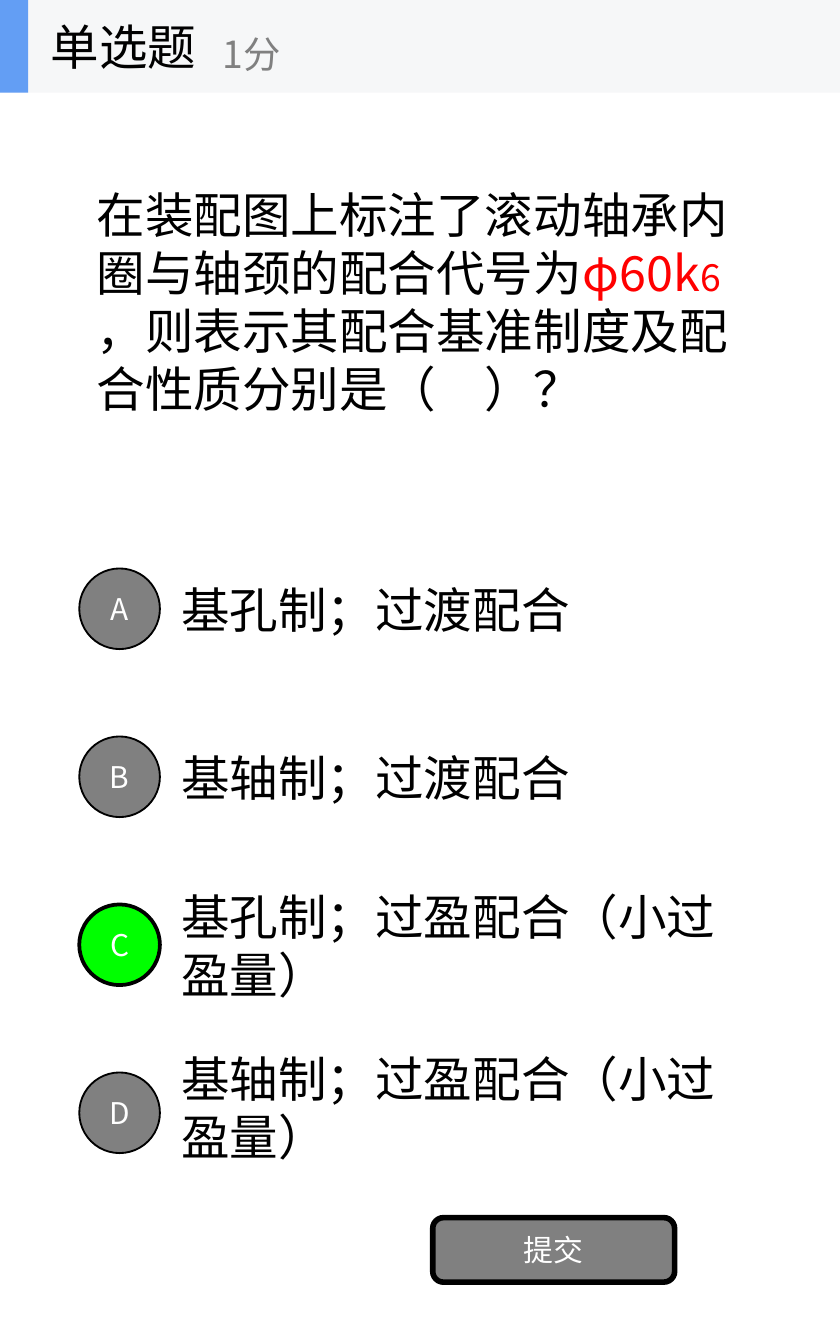
from dataclasses import dataclass

from lxml import etree
from pptx import Presentation
from pptx import util as u
from pptx.dml.color import RGBColor
from pptx.enum import shapes, text
from pptx.oxml import ns

FACE = "Noto Sans CJK SC"
HUE = {
    "ink": "000000", "paper": "FFFFFF", "gray": "808080", "red": "FF0000",
    "green": "00FF00", "band": "F6F7F8", "blue": "639EF4",
}
FORM = shapes.MSO_SHAPE


@dataclass
class Run:
    words: str
    size: int = 26
    hue: str = "ink"


@dataclass
class Box:
    left: float
    top: float
    width: float
    height: float

    def place(self) -> list[int]:
        return [u.Inches(n) for n in (self.left, self.top, self.width, self.height)]


@dataclass
class Choice:
    mark: str
    words: str
    top: float
    right: bool = False


CHOICES = [
    Choice("A", "基孔制；过渡配合", 4.06),
    Choice("B", "基轴制；过渡配合", 5.31),
    Choice("C", "基孔制；过盈配合（小过盈量）", 6.56, True),
    Choice("D", "基轴制；过盈配合（小过盈量）", 7.77),
]
QUERY = [
    [Run("在装配图上标注了滚动轴承内圈与轴颈的配合代号为"),
     Run("φ60k", hue="red"), Run("6", 20, "red")],
    [Run("，则表示其配合基准制度及配合性质分别是（　）？")],
]


def color(name: str) -> RGBColor:
    return RGBColor.from_string(HUE[name])


def write(frame, paras: list[list[Run]], align=text.PP_ALIGN.LEFT) -> None:
    look = {"word_wrap": True, "vertical_anchor": text.MSO_ANCHOR.MIDDLE}
    for key, value in look.items():
        setattr(frame, key, value)
    for i, runs in enumerate(paras):
        para = frame.add_paragraph() if i else frame.paragraphs[0]
        para.alignment = align
        for item in runs:
            run = para.add_run()
            run.text = item.words
            for key, value in {"size": u.Pt(item.size), "name": FACE}.items():
                setattr(run.font, key, value)
            run.font.color.rgb = color(item.hue)
            # The public font name covers Latin text only
            asian = etree.SubElement(run.font._element, ns.qn("a:ea"))
            asian.set("typeface", FACE)


def label(slide, box: Box, paras: list[list[Run]]) -> None:
    write(slide.shapes.add_textbox(*box.place()).text_frame, paras)


def draw(slide, form: FORM, box: Box, fill: str, edge: int = 0, words: str = "") -> None:
    """Draw a filled shape; an edge of 0 means no outline."""
    shape = slide.shapes.add_shape(form, *box.place())
    shape.shadow.inherit = False
    shape.fill.solid()
    shape.fill.fore_color.rgb = color(fill)
    if edge:
        shape.line.color.rgb = color("ink")
        shape.line.width = u.Pt(edge)
    else:
        shape.line.fill.background()
    if words:
        write(shape.text_frame, [[Run(words, 16, "paper")]], text.PP_ALIGN.CENTER)


def main() -> None:
    deck = Presentation()
    deck.slide_width, deck.slide_height = u.Inches(6.25), u.Inches(10)
    slide = deck.slides.add_slide(deck.slide_layouts[6])

    label(slide, Box(0.62, 0.68, 5, 3.12), QUERY)
    for i, item in enumerate(CHOICES):
        label(slide, Box(1.25, item.top, 4.38, 0.94), [[Run(item.words)]])
        fill, edge = ("green", 2) if item.right else ("gray", 1)
        draw(slide, FORM.OVAL, Box(0.59, 4.23 + 1.25 * i, 0.6, 0.6), fill, edge, item.mark)
    draw(slide, FORM.ROUNDED_RECTANGLE, Box(3.22, 9.06, 1.8, 0.48), "gray", 3, "提交")

    for width, fill in ((6.25, "band"), (0.21, "blue")):
        draw(slide, FORM.RECTANGLE, Box(0, 0, width, 0.69), fill)
    label(slide, Box(0.28, 0, 2.08, 0.69), [[Run("单选题")]])
    label(slide, Box(1.56, 0.12, 2.5, 0.56), [[Run("1分", 20, "gray")]])
    deck.save("out.pptx")


if __name__ == "__main__":
    main()
